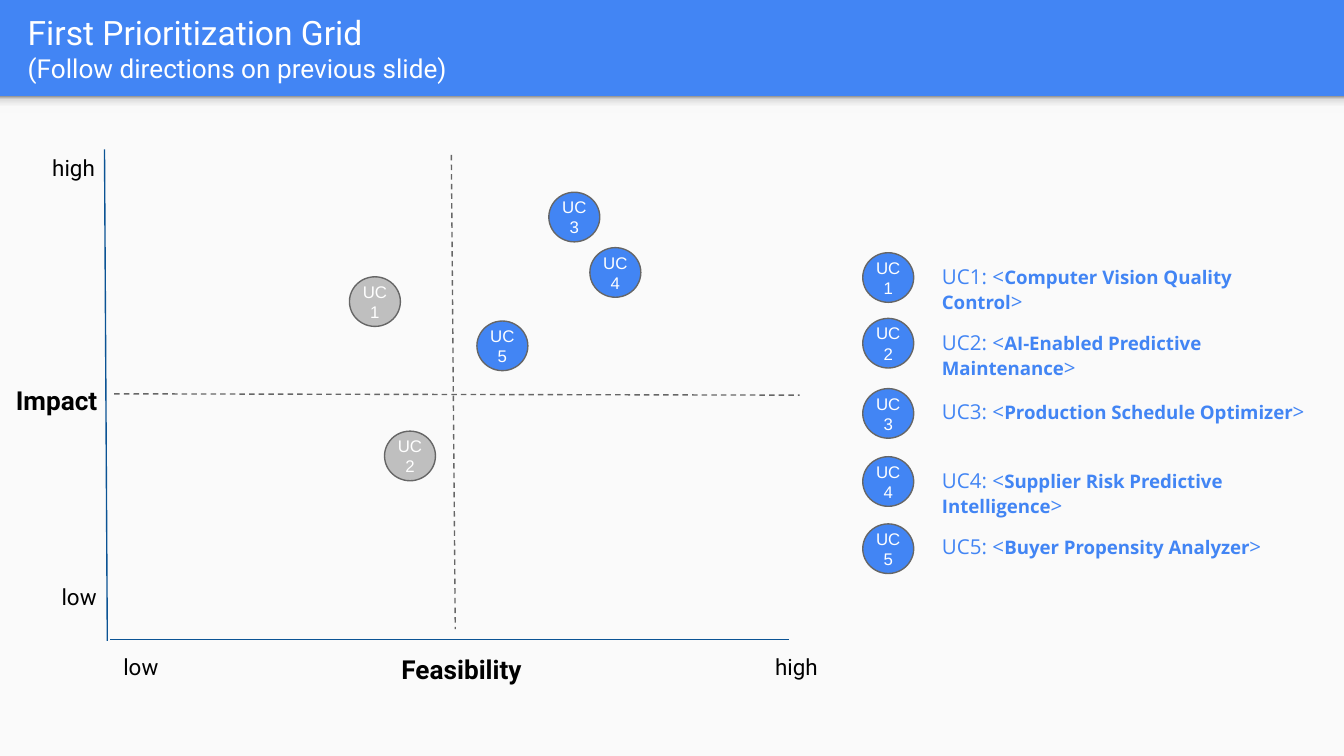
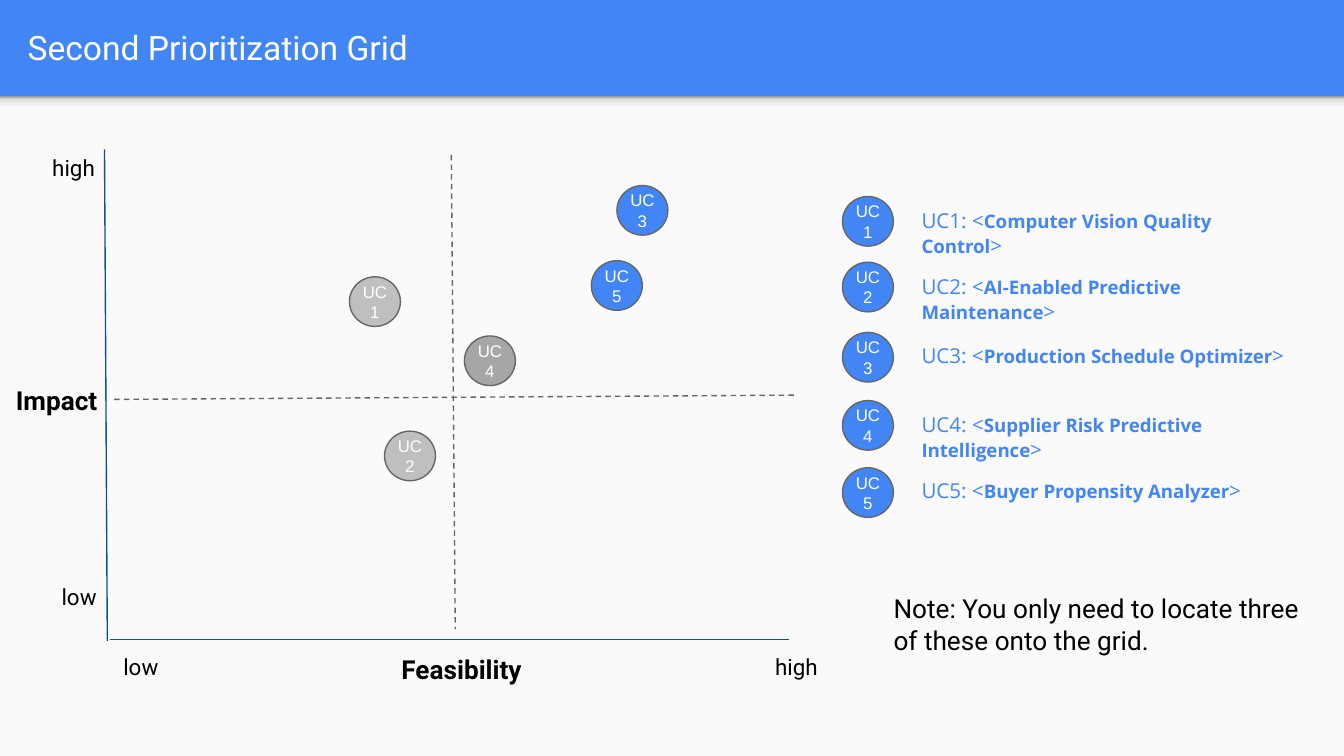
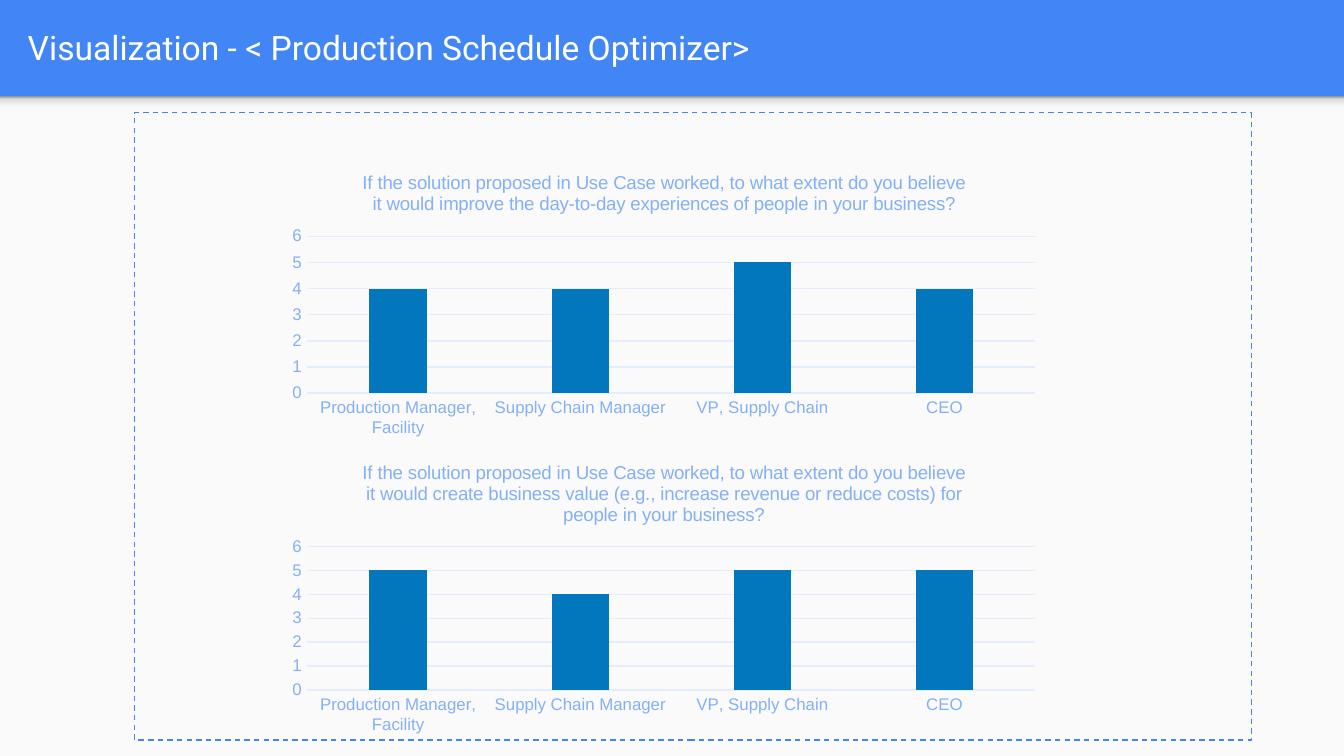
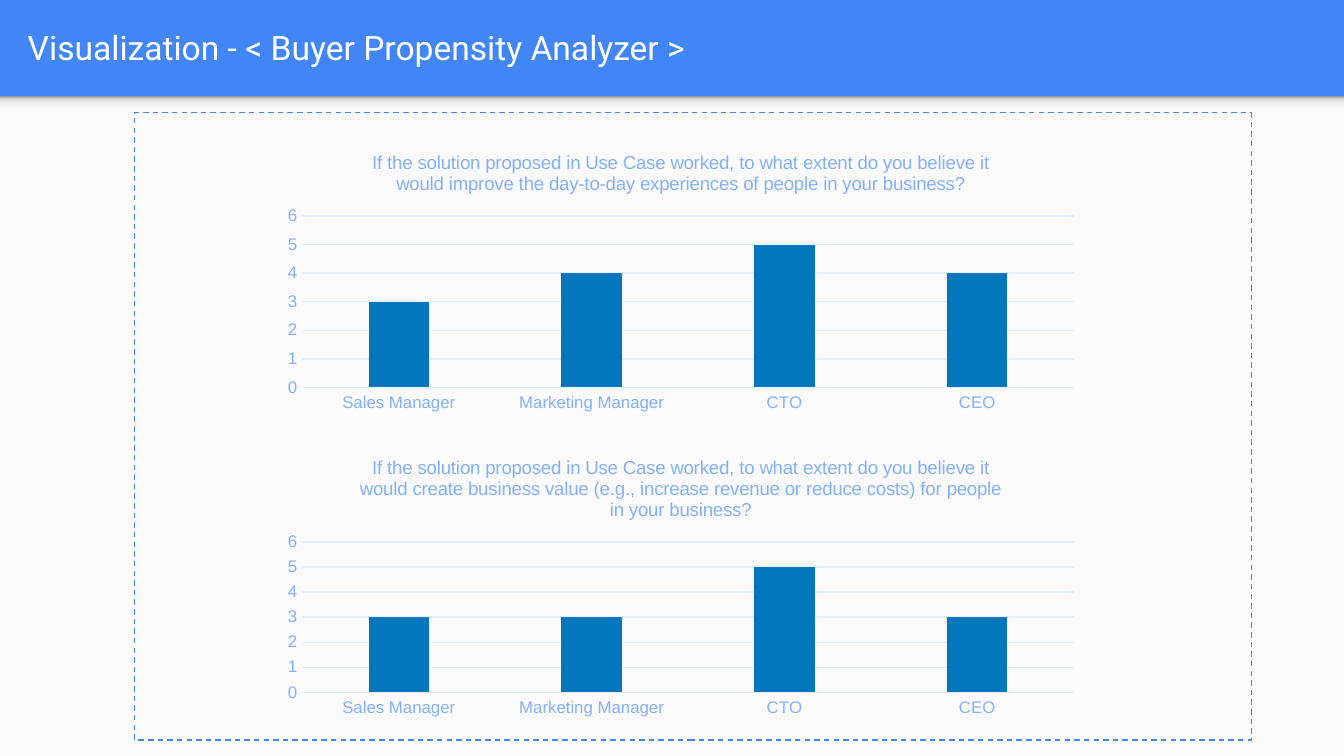
import pptx
import pptx.chart.data
import pptx.dml.color
import pptx.enum.chart
import pptx.enum.dml
import pptx.enum.shapes
import pptx.enum.text
import pptx.oxml
import pptx.oxml.ns
import pptx.util
from lxml import etree

Pt = pptx.util.Pt
RGBColor = pptx.dml.color.RGBColor
SHAPE = pptx.enum.shapes.MSO_SHAPE
ALIGN = pptx.enum.text.PP_ALIGN
ANCHOR = pptx.enum.text.MSO_ANCHOR
DASH = pptx.enum.dml.MSO_LINE.DASH
TICK = pptx.enum.chart.XL_TICK_MARK

BLUE = RGBColor(0x42, 0x85, 0xF4)
PAPER = RGBColor(0xFA, 0xFA, 0xFA)
WHITE = RGBColor(0xFF, 0xFF, 0xFF)
BLACK = RGBColor(0, 0, 0)
OUTLINE = RGBColor(0x66, 0x66, 0x66)
AXIS = RGBColor(0x0B, 0x53, 0x94)
LIGHT_GREY = RGBColor(0xBF, 0xBF, 0xBF)
MID_GREY = RGBColor(0xA6, 0xA6, 0xA6)
BAR = RGBColor(0x02, 0x77, 0xBD)
CHART_TEXT = RGBColor(0x84, 0xB0, 0xF8)
CHART_LINE = RGBColor(0xE3, 0xED, 0xFD)

WIDTH, HEIGHT, BAND = 720, 405, 51.6
SHADE_STOPS = ((0, "F9F9F9"), (36, "F9F9F9"), (80, "DEDEDE"), (100, "999999"))
CIRCLE = (27.3, 26.6)
INSET = 7.2

USE_CASES = (
    "Computer Vision Quality Control",
    "AI-Enabled Predictive Maintenance",
    "Production Schedule Optimizer",
    "Supplier Risk Predictive Intelligence",
    "Buyer Propensity Analyzer",
)
LEGEND_ROWS = (0, 35.2, 72.8, 109.3, 145.3)

QUESTION = "If the solution proposed in Use Case worked, to what extent do you believe it would "
DAILY = QUESTION + "improve the day-to-day experiences of people in your business?"
VALUE = QUESTION + ("create business value (e.g., increase revenue or reduce costs) "
                    "for people in your business?")


def style_font(font, size, color, name, bold=False):
    """Set size, colour, face and weight of a font."""
    font.size, font.name, font.bold = Pt(size), name, bold
    font.color.rgb = color


def add_shape(s, kind, box, fill=None, line=None):
    """Add a flat preset shape, with or without fill and outline."""
    sp = s.shapes.add_shape(kind, *map(Pt, box))
    sp.shadow.inherit = False
    if fill is None:
        sp.fill.background()
    else:
        sp.fill.solid()
        sp.fill.fore_color.rgb = fill
    if line is None:
        sp.line.fill.background()
    else:
        sp.line.color.rgb = line
        sp.line.width = Pt(0.75)
    return sp


def set_frame(tf, inset, anchor):
    """Make a text frame wrap, with equal insets on all sides."""
    tf.word_wrap = True
    tf.vertical_anchor = anchor
    tf.margin_left = tf.margin_right = tf.margin_top = tf.margin_bottom = Pt(inset)


def add_text(s, box, lines, color=BLACK, bold=False, align=ALIGN.LEFT, anchor=ANCHOR.TOP):
    """Add a Roboto text box; lines holds (text, size) for each paragraph."""
    tf = s.shapes.add_textbox(*map(Pt, box)).text_frame
    set_frame(tf, INSET, anchor)
    for i, (text, size) in enumerate(lines):
        p = tf.add_paragraph() if i else tf.paragraphs[0]
        p.text, p.alignment = text, align
        style_font(p.font, size, color, "Roboto", bold)


def add_line(s, start, end, color, dashed=False):
    """Add a thin straight line without shadow."""
    line = s.shapes.add_connector(pptx.enum.shapes.MSO_CONNECTOR.STRAIGHT,
                                  *map(Pt, (*start, *end)))
    line.line.color.rgb = color
    line.line.width = Pt(0.75)
    if dashed:
        line.line.dash_style = DASH
    etree.SubElement(line._element.spPr, pptx.oxml.ns.qn("a:effectLst"))


def add_shade(s, box):
    """Add the strip that fades downwards below the title band."""
    sp = add_shape(s, SHAPE.RECTANGLE, box)
    sp.fill.gradient()
    grad = sp._element.spPr.find(pptx.oxml.ns.qn("a:gradFill"))
    stops = "".join(f'<a:gs pos="{pos * 1000}"><a:srgbClr val="{color}"/></a:gs>'
                    for pos, color in SHADE_STOPS)
    new = pptx.oxml.parse_xml(f'<a:gradFill {pptx.oxml.ns.nsdecls("a")} rotWithShape="1">'
                              f'<a:gsLst>{stops}</a:gsLst>'
                              '<a:lin ang="16200000" scaled="0"/></a:gradFill>')
    grad.getparent().replace(grad, new)


def add_slide(prs, title, subtitle=None):
    """Add a slide with the title band, the pale body and the shade."""
    s = prs.slides.add_slide(prs.slide_layouts[6])
    add_shape(s, SHAPE.RECTANGLE, (0, BAND, WIDTH, HEIGHT - BAND), PAPER)
    add_shade(s, (0, BAND, WIDTH, 8.8))
    lines = [(title, 18)] + ([(subtitle, 14)] if subtitle else [])
    add_text(s, (7.8, 1.7, 695, 47.5), lines, WHITE, anchor=ANCHOR.MIDDLE)
    return s


def use_case_circle(s, x, y, number, fill=BLUE):
    """Place the circle of one use case."""
    sp = add_shape(s, SHAPE.OVAL, (x, y, *CIRCLE), fill, OUTLINE)
    set_frame(sp.text_frame, 0, ANCHOR.MIDDLE)
    p = sp.text_frame.paragraphs[0]
    p.text, p.alignment = f"UC\v{number}", ALIGN.CENTER
    style_font(p.font, 9, WHITE, "Arial")


def legend(s, x, y):
    """List all use cases, circle and name, from the top left corner."""
    for number, (name, dy) in enumerate(zip(USE_CASES, LEGEND_ROWS), 1):
        use_case_circle(s, x, y + dy, number)
        box = (x + 35.3, y + dy - 1, 214, 32.4)
        tf = s.shapes.add_textbox(*map(Pt, box)).text_frame
        set_frame(tf, INSET, ANCHOR.TOP)
        for text, size, bold in ((f"UC{number}: <", 11, False), (name, 10, True),
                                 (">", 11, False)):
            r = tf.paragraphs[0].add_run()
            r.text = text
            style_font(r.font, size, BLUE, "Open Sans", bold)


def priority_grid(s, box, middle, circles):
    """Draw axes, middle lines, labels and the placed use cases.

    middle holds the ends of the horizontal middle line; circles holds
    (number, x, y, fill). Both are relative to the box.
    """
    x, y, w, h = box
    x_mid, right = x + w / 2 + 3, x + w
    floor = y + h
    (x1, y1), (x2, y2) = middle
    add_line(s, (x_mid - 0.5, y + 3), (x_mid + 1.6, floor - 5.7), OUTLINE, True)
    add_line(s, (x + x1, y + y1), (x + x2, y + y2), OUTLINE, True)
    add_line(s, (x, y), (x + 1.5, floor + 0.7), AXIS)
    add_line(s, (right, floor), (x + 3, floor), AXIS)

    add_text(s, (x - 54.6, y + 118.7, 59.8, 32.4), [("Impact", 14)], bold=True)
    add_text(s, (x + 66.4, floor, 249.8, 32.4), [("Feasibility", 14)], bold=True,
             align=ALIGN.CENTER)
    for text, left, top in (("high", x - 35.1, y - 4.4), ("low", x - 30.1, floor - 37.4),
                            ("low", x + 3, floor), ("high", right - 14.4, floor)):
        add_text(s, (left, top, 59, 17.3), [(text, 12)])
    for number, dx, dy, fill in circles:
        use_case_circle(s, x + dx, y + dy, number, fill)


def survey_chart(s, box, title, cats, vals):
    """Add a column chart of the answers to one question."""
    data = pptx.chart.data.CategoryChartData()
    data.categories = cats
    data.add_series("Series 1", vals)
    chart = s.shapes.add_chart(pptx.enum.chart.XL_CHART_TYPE.COLUMN_CLUSTERED,
                               *map(Pt, box), data).chart
    style_font(chart.font, 10, BLUE, "Arial")
    chart.has_legend = False
    chart.has_title = True
    p = chart.chart_title.text_frame.paragraphs[0]
    p.text = title
    style_font(p.font, 10, CHART_TEXT, "Arial")

    plot = chart.plots[0]
    plot.gap_width, plot.overlap, plot.vary_by_categories = 219, -27, False
    fill = plot.series[0].format.fill
    fill.solid()
    fill.fore_color.rgb = BAR

    value_axis = chart.value_axis
    for axis in (chart.category_axis, value_axis):
        axis.major_tick_mark = axis.minor_tick_mark = TICK.NONE
        style_font(axis.tick_labels.font, 9, CHART_TEXT, "Arial")
    value_axis.minimum_scale, value_axis.maximum_scale, value_axis.major_unit = 0, 6, 1
    value_axis.format.line.fill.background()
    for line in (chart.category_axis.format.line, value_axis.major_gridlines.format.line):
        line.color.rgb = CHART_LINE
        line.width = Pt(0.75)


def survey_slide(prs, name, cats, charts):
    """Add a slide with a dashed frame; charts holds (box, title, values)."""
    s = add_slide(prs, f"Visualization - < {name}>")
    frame = add_shape(s, SHAPE.RECTANGLE, (72, 60.4, 598.3, 336), line=BLUE)
    frame.line.dash_style = DASH
    for box, title, vals in charts:
        survey_chart(s, box, title, cats, vals)


prs = pptx.Presentation()
prs.slide_width, prs.slide_height = Pt(WIDTH), Pt(HEIGHT)
prs.slide_master.background.fill.solid()
prs.slide_master.background.fill.fore_color.rgb = BLUE

GRID = (56, 80, 366.6, 262.7)
DISCARDED = ((1, 131.2, 68.3, LIGHT_GREY), (2, 150, 151, LIGHT_GREY))

s = add_slide(prs, "First Prioritization Grid", "(Follow directions on previous slide)")
legend(s, 462.2, 135.4)
priority_grid(s, GRID, ((5.2, 131), (372.4, 131.7)), DISCARDED + (
    (3, 238, 23, BLUE), (4, 260, 52.7, BLUE), (5, 199.5, 92, BLUE)))

s = add_slide(prs, "Second Prioritization Grid")
add_text(s, (471.6, 310.3, 234, 63.4),
         [("Note: You only need to locate three of these onto the grid.", 14)])
legend(s, 451.3, 105.3)
priority_grid(s, GRID, ((5.2, 134), (369.5, 131.7)), DISCARDED + (
    (3, 274.5, 19.4, BLUE), (4, 192.8, 100, MID_GREY), (5, 260.8, 59.7, BLUE)))

survey_slide(prs, "Production Schedule Optimizer",
             ("Production Manager, Facility", "Supply Chain Manager", "VP, Supply Chain", "CEO"),
             (((148.3, 82.8, 414.7, 154.8), DAILY, (4, 4, 5, 4)),
              ((148.3, 237.6, 414.7, 159.1), VALUE, (5, 4, 5, 5))))
survey_slide(prs, "Buyer Propensity Analyzer ",
             ("Sales Manager", "Marketing Manager", "CTO", "CEO"),
             (((145.4, 72, 438.5, 152), DAILY, (3, 4, 5, 4)),
              ((145.4, 235.4, 438.5, 152), VALUE, (3, 3, 5, 3))))

prs.save("out.pptx")
